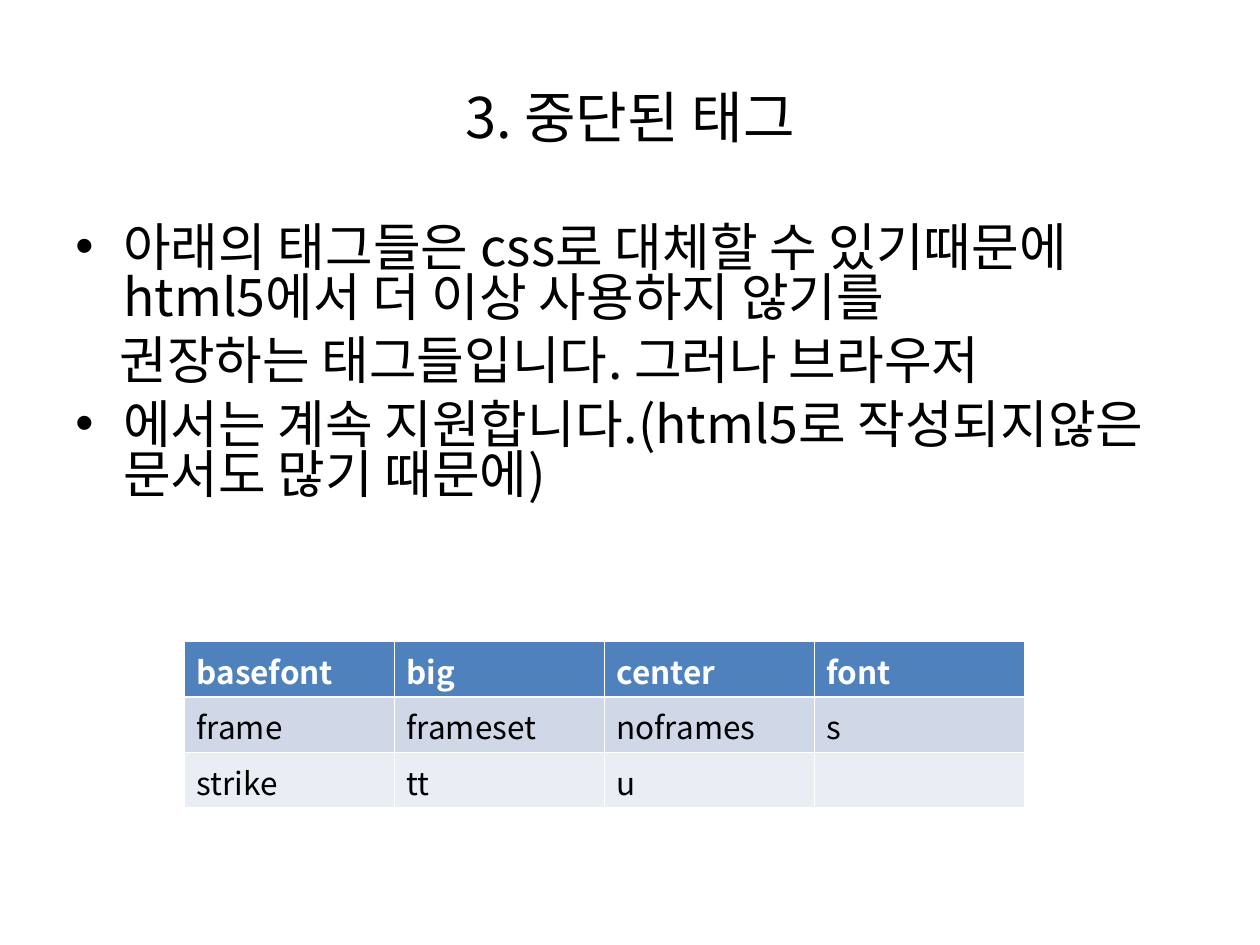
from lxml.etree import SubElement
from pptx import Presentation
from pptx.dml.color import RGBColor
from pptx.enum.text import MSO_ANCHOR, MSO_AUTO_SIZE, PP_ALIGN
from pptx.oxml.ns import qn
from pptx.util import Inches, Pt

FONT = "Noto Sans CJK KR"
COLORS = {"text": "000000", "white": "FFFFFF", "header": "4F81BD",
          "band_dark": "D0D8E8", "band_light": "E9EDF4"}


def write_text(paragraph, text, size, color="text", bold=False):
    run = paragraph.add_run()
    run.text = text
    run.font.name = FONT
    run.font.size = Pt(size)
    run.font.bold = bold
    run.font.color.rgb = RGBColor.from_string(COLORS[color])
    SubElement(run._r.get_or_add_rPr(), qn("a:ea"), typeface=FONT)


def add_border(cell, side, width):
    """Draw a white line on one side (L, R, T or B); call before the cell is filled."""
    line = SubElement(cell._tc.get_or_add_tcPr(), qn(f"a:ln{side}"), w=str(Pt(width)))
    fill = SubElement(line, qn("a:solidFill"))
    SubElement(fill, qn("a:srgbClr"), val=COLORS["white"])


presentation = Presentation()
presentation.slide_width, presentation.slide_height = Inches(10), Inches(7.5)
width, height = presentation.slide_width, presentation.slide_height
margin = int(width * 0.05)
content_width = width - 2 * margin
slide = presentation.slides.add_slide(presentation.slide_layouts[5])

# Title
title = slide.shapes.title
title.left, title.top = margin, int(height * 0.04)
title.width, title.height = content_width, Inches(1.25)
title_frame = title.text_frame
title_frame.auto_size = MSO_AUTO_SIZE.NONE
title_frame.vertical_anchor = MSO_ANCHOR.MIDDLE
title_frame.paragraphs[0].alignment = PP_ALIGN.CENTER
write_text(title_frame.paragraphs[0], "3. 중단된 태그", 32)

# Explanation: text, bulleted
explanation = [
    ("아래의 태그들은 css로 대체할 수 있기때문에 html5에서 더 이상 사용하지 않기를", True),
    ("권장하는 태그들입니다. 그러나 브라우저", False),
    ("에서는 계속 지원합니다.(html5로 작성되지않은 문서도 많기 때문에)", True),
]
body = slide.shapes.add_textbox(margin, Inches(1.75), content_width, Inches(2.79))
body_frame = body.text_frame
body_frame.word_wrap = True
for index, (text, bulleted) in enumerate(explanation):
    paragraph = body_frame.add_paragraph() if index else body_frame.paragraphs[0]
    paragraph.line_spacing = 0.8
    paragraph.space_before = Pt(8 if index else 0)
    properties = paragraph._p.get_or_add_pPr()
    indent = Inches(0.38 if bulleted else 0.35)
    properties.set("marL", str(indent))
    properties.set("indent", str(-indent if bulleted else 0))
    if bulleted:
        SubElement(properties, qn("a:buFont"), typeface="Arial")
        SubElement(properties, qn("a:buChar"), char="•")
    else:
        SubElement(properties, qn("a:buNone"))
    write_text(paragraph, text, 29.6)

# Table of discontinued tags
tags = [
    ["basefont", "big", "center", "font"],
    ["frame", "frameset", "noframes", "s"],
    ["strike", "tt", "u", ""],
]
row_fills = ["header", "band_dark", "band_light"]
column_width, row_height = int(width / 6), Inches(0.44)
table = slide.shapes.add_table(
    len(tags), len(tags[0]), Inches(1.46), Inches(5.09),
    column_width * len(tags[0]), row_height * len(tags)).table
for row_index, (names, row_fill) in enumerate(zip(tags, row_fills)):
    is_header = row_index == 0
    for column_index, name in enumerate(names):
        cell = table.cell(row_index, column_index)
        for side in "LRTB":
            under_header = (row_index, side) in [(0, "B"), (1, "T")]
            add_border(cell, side, 1.47 if under_header else 0.45)
        cell.fill.solid()
        cell.fill.fore_color.rgb = RGBColor.from_string(COLORS[row_fill])
        if name:
            write_text(cell.text_frame.paragraphs[0], name, 18,
                       color="white" if is_header else "text", bold=is_header)

presentation.save("out.pptx")
